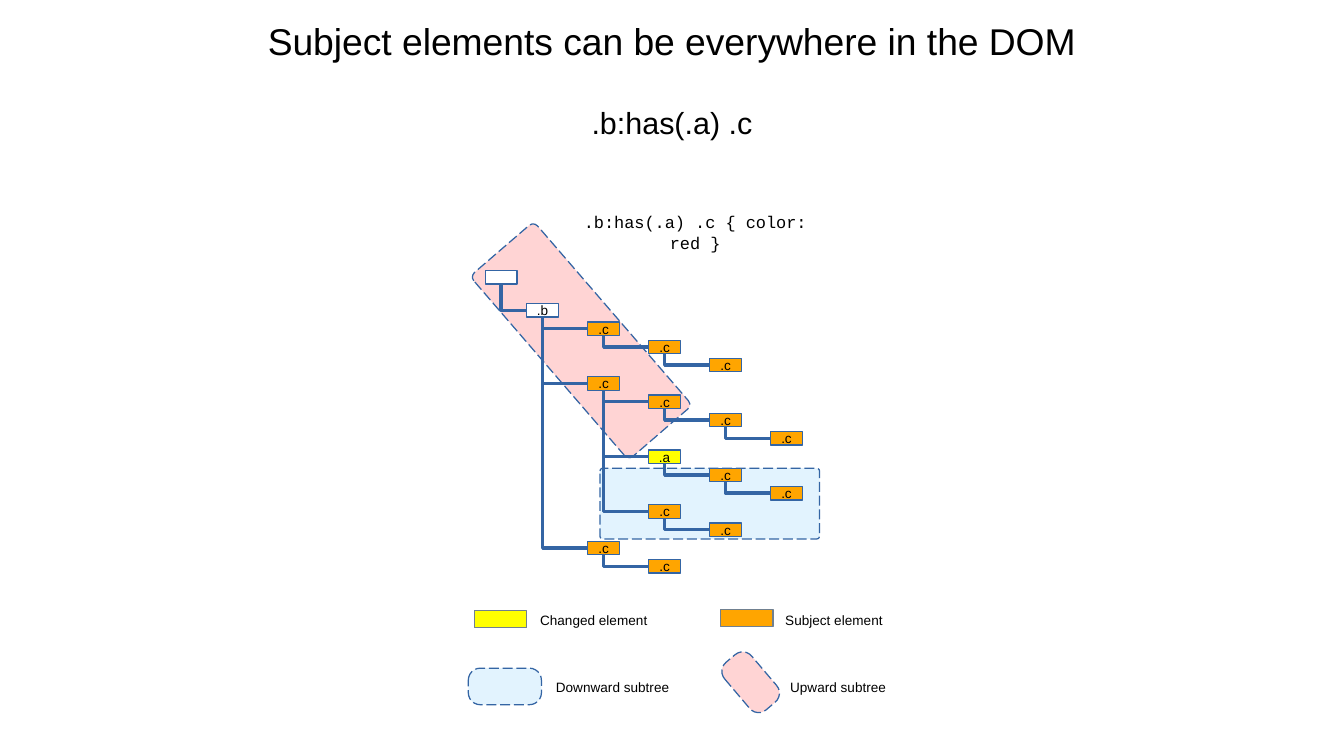
from dataclasses import dataclass

from lxml.etree import SubElement
from pptx import Presentation
from pptx.dml.color import RGBColor
from pptx.enum.dml import MSO_LINE
from pptx.enum.shapes import MSO_CONNECTOR, MSO_SHAPE
from pptx.enum.text import MSO_ANCHOR, MSO_AUTO_SIZE, PP_ALIGN
from pptx.oxml.ns import qn
from pptx.shapes.autoshape import Shape
from pptx.slide import Slide
from pptx.text.text import _Paragraph as Para
from pptx.util import Inches, Pt

COLORS = {
    "text": "000000", "line": "3465A4", "key": "708090", "plain": "FFFFFF",
    "changed": "FFFF00", "subject": "FFA500", "down": "E2F3FE", "up": "FFD4D4",
}
NODE_W, NODE_H = 0.26, 0.11
LEFT, TOP = 4.32, 2.64  # left of depth 0, top of row 0
STEP_X, STEP_Y = 0.5, 0.15


@dataclass
class Node:
    depth: int
    text: str = ".c"
    fill: str = "subject"


@dataclass
class Box:
    left: float
    top: float
    width: float
    height: float
    fill: str
    line: str = "line"
    round: float = 0
    turn: float = 0


@dataclass
class Label:
    text: str
    left: float
    top: float
    width: float
    height: float
    size: int = 8
    font: str = "Arial"
    align: PP_ALIGN = PP_ALIGN.LEFT


# Descendants of .b in document order, one per row
TREE = [
    Node(1), Node(2), Node(3),
    Node(1), Node(2), Node(3), Node(4),
    Node(2, ".a", "changed"), Node(3), Node(4),
    Node(2), Node(3),
    Node(1), Node(2),
]
AREAS = [
    Box(4.92, 3.84, 1.8, 0.58, "down", round=0.04),
    Box(4.42, 1.8, 0.69, 1.99, "up", round=0.07, turn=319.2),
]
KEYS = [
    Box(3.89, 5.01, 0.43, 0.14, "changed", "key"),
    Box(5.91, 5, 0.43, 0.14, "subject", "key"),
    Box(3.84, 5.48, 0.6, 0.3, "down", round=0.33),
    Box(6.01, 5.34, 0.29, 0.51, "up", round=0.33, turn=319.7),
]
LABELS = [
    Label(".b:has(.a) .c { color: red }", 4.56, 1.75, 2.28, 0.31, 10,
          "Courier New", PP_ALIGN.CENTER),
    Label("Changed element", 4.33, 4.97, 1.1, 0.22),
    Label("Subject element", 6.34, 4.97, 1.1, 0.22),
    Label("Downward subtree", 4.46, 5.52, 1.2, 0.25),
    Label("Upward subtree", 6.38, 5.52, 1.02, 0.25),
]


def color(name: str) -> RGBColor:
    return RGBColor.from_string(COLORS[name])


def style(para: Para, size: int, font: str = "Arial",
          align: PP_ALIGN = PP_ALIGN.CENTER) -> None:
    para.alignment = align
    para.font.size = Pt(size)
    para.font.name = font
    para.font.color.rgb = color("text")


def draw_box(slide: Slide, box: Box) -> Shape:
    kind = MSO_SHAPE.ROUNDED_RECTANGLE if box.round else MSO_SHAPE.RECTANGLE
    shape = slide.shapes.add_shape(
        kind, Inches(box.left), Inches(box.top), Inches(box.width), Inches(box.height))
    shape.shadow.inherit = False
    shape.fill.solid()
    shape.fill.fore_color.rgb = color(box.fill)
    shape.line.color.rgb = color(box.line)
    shape.line.width = Pt(0)
    shape.rotation = box.turn
    if box.round:
        shape.adjustments[0] = box.round
        shape.line.dash_style = MSO_LINE.LONG_DASH
    return shape


def draw_node(slide: Slide, left: float, top: float, text: str, fill: str) -> Shape:
    shape = draw_box(slide, Box(left, top, NODE_W, NODE_H, fill))
    if text:
        frame = shape.text_frame
        frame.word_wrap = False
        frame.vertical_anchor = MSO_ANCHOR.MIDDLE
        frame.text = text
        style(frame.paragraphs[0], 8)
    return shape


def join(slide: Slide, above: Shape, child: Shape) -> None:
    """Run an elbow from the left of child to the bottom of above."""
    link = slide.shapes.add_connector(
        MSO_CONNECTOR.ELBOW, child.left, child.top + child.height // 2,
        above.left + above.width // 2, above.top + above.height)
    link.begin_connect(child, 1)
    link.end_connect(above, 2)
    link.line.color.rgb = color("line")
    link.line.width = Pt(0)
    props = link._element.spPr
    props.find(qn("a:prstGeom")).set("prst", "bentConnector2")
    SubElement(props, qn("a:effectLst"))


def draw_tree(slide: Slide) -> None:
    root = draw_node(slide, 3.98, 2.22, "", "plain")
    top = draw_node(slide, LEFT, TOP - STEP_Y, ".b", "plain")
    join(slide, root, top)
    last = {0: top}  # latest shape at each depth
    for row, node in enumerate(TREE):
        shape = draw_node(slide, LEFT + node.depth * STEP_X, TOP + row * STEP_Y,
                          node.text, node.fill)
        join(slide, last[node.depth - 1], shape)
        last[node.depth] = shape


def draw_label(slide: Slide, label: Label) -> None:
    box = slide.shapes.add_textbox(Inches(label.left), Inches(label.top),
                                   Inches(label.width), Inches(label.height))
    frame = box.text_frame
    frame.word_wrap = label.align == PP_ALIGN.LEFT
    frame.text = label.text
    if label.align == PP_ALIGN.CENTER:
        frame.vertical_anchor = MSO_ANCHOR.MIDDLE
    style(frame.paragraphs[0], label.size, label.font, label.align)


def set_title(slide: Slide) -> None:
    title = slide.shapes.title
    title.left, title.top = Inches(0), Inches(0.1)
    title.width, title.height = Inches(11.02), Inches(1)
    frame = title.text_frame
    frame.auto_size = MSO_AUTO_SIZE.NONE
    frame.vertical_anchor = MSO_ANCHOR.TOP
    frame.text = "Subject elements can be everywhere in the DOM\n.b:has(.a) .c"
    for para, size in zip(frame.paragraphs, (22, 18)):
        style(para, size)
    frame.paragraphs[1].space_before = Pt(24)


def main() -> None:
    deck = Presentation()
    deck.slide_width, deck.slide_height = Inches(11.02), Inches(6.2)
    slide = deck.slides.add_slide(deck.slide_layouts[5])
    set_title(slide)
    # Subtree areas lie behind the tree
    for area in AREAS:
        draw_box(slide, area)
    draw_tree(slide)
    # Legend and captions
    for key in KEYS:
        draw_box(slide, key)
    for label in LABELS:
        draw_label(slide, label)
    deck.save("out.pptx")


if __name__ == "__main__":
    main()
